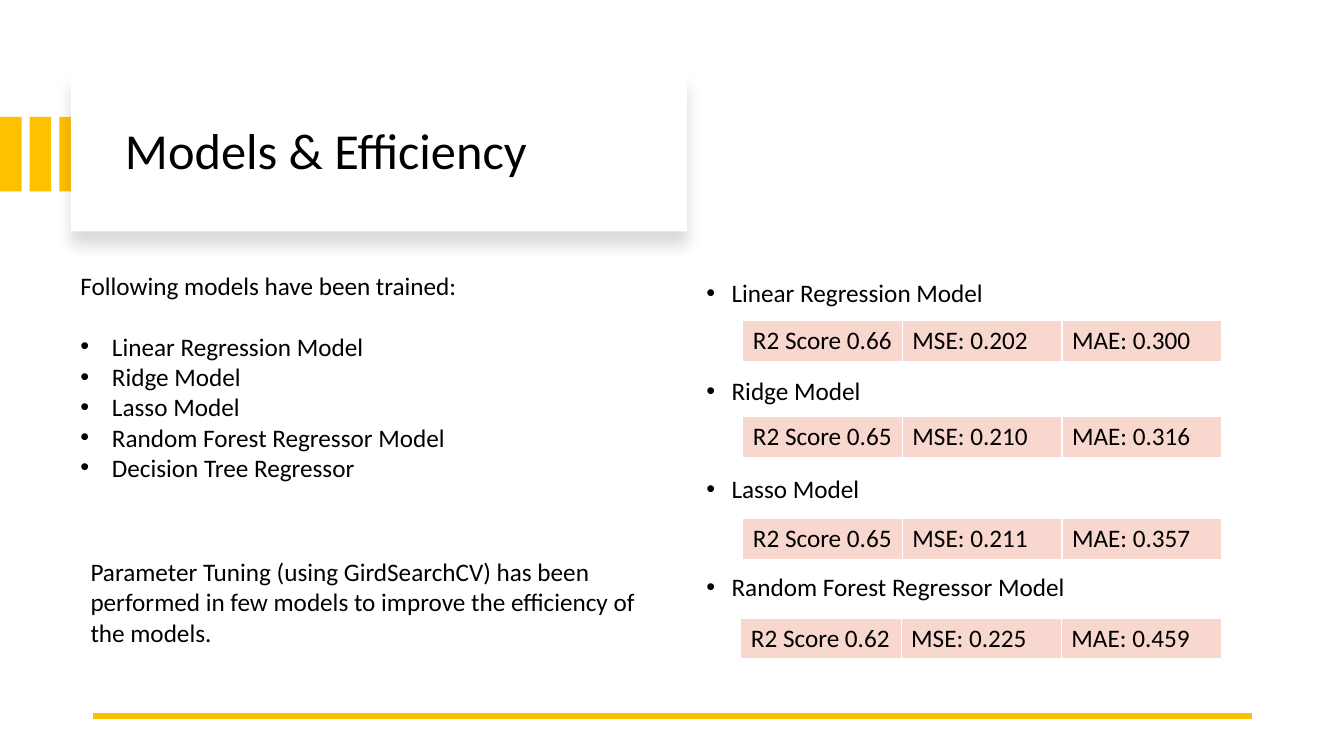
from pptx import Presentation
from pptx.dml.color import RGBColor
from pptx.enum.shapes import MSO_CONNECTOR, MSO_SHAPE
from pptx.enum.text import MSO_ANCHOR
from pptx.oxml import parse_xml
from pptx.oxml.ns import nsdecls
from pptx.util import Pt

COLORS = {"accent": "FFC000", "card": "FFFFFF", "cell": "F8D7CE", "text": "000000"}


class SlideBuilder:
    """Draws styled elements on one slide, with lengths in points."""

    def __init__(self, slide, font="Calibri", size=18):
        self.slide = slide
        self.font = font
        self.size = size

    def color(self, name):
        """Return a palette colour."""
        return RGBColor.from_string(COLORS[name])

    def rect(self, x, y, w, h, fill):
        """Add a plain rectangle."""
        sp = self.slide.shapes.add_shape(MSO_SHAPE.RECTANGLE, Pt(x), Pt(y), Pt(w), Pt(h))
        sp.shadow.inherit = False
        sp.fill.solid()
        sp.fill.fore_color.rgb = self.color(fill)
        sp.line.fill.background()
        return sp

    def card(self, x, y, w, h):
        """Add a white panel with a soft shadow below it."""
        sp = self.rect(x, y, w, h, "card")
        effects = sp._element.spPr.find("{*}effectLst")
        effects.append(parse_xml(
            f'<a:outerShdw {nsdecls("a")} blurRad="{Pt(11)}" dist="{Pt(10)}" dir="5400000" '
            'algn="t" rotWithShape="0"><a:srgbClr val="000000"><a:alpha val="15000"/>'
            '</a:srgbClr></a:outerShdw>'))

    def line(self, x1, y1, x2, y2, width):
        """Add a straight accent line."""
        cn = self.slide.shapes.add_connector(
            MSO_CONNECTOR.STRAIGHT, Pt(x1), Pt(y1), Pt(x2), Pt(y2))
        cn.line.color.rgb = self.color("accent")
        cn.line.width = Pt(width)
        cn._element.spPr.append(parse_xml(f'<a:effectLst {nsdecls("a")}/>'))

    def run(self, p, text, size=None):
        """Add a styled run to a paragraph."""
        r = p.add_run()
        r.text = text
        r.font.name = self.font
        r.font.size = Pt(size or self.size)
        r.font.color.rgb = self.color("text")

    def bullet(self, p, left, hang):
        """Give a paragraph a bullet with a hanging indent."""
        pPr = p._p.get_or_add_pPr()
        pPr.set("marL", str(Pt(left)))
        pPr.set("indent", str(Pt(-hang)))
        pPr.append(parse_xml(f'<a:buFont {nsdecls("a")} typeface="Arial"/>'))
        pPr.append(parse_xml(f'<a:buChar {nsdecls("a")} char="•"/>'))

    def text(self, x, y, w, h, lines, size=None, spacing=None, anchor=MSO_ANCHOR.TOP):
        """Add a text box of (text, space before, bullet indents) lines."""
        tf = self.slide.shapes.add_textbox(Pt(x), Pt(y), Pt(w), Pt(h)).text_frame
        tf.word_wrap = True
        tf.vertical_anchor = anchor
        for i, (text, before, indents) in enumerate(lines):
            p = tf.add_paragraph() if i else tf.paragraphs[0]
            p.space_before = Pt(before)
            if spacing:
                p.line_spacing = spacing
            if indents:
                self.bullet(p, *indents)
            self.run(p, text, size)

    def table(self, x, y, w, h, values):
        """Add a one-row table with white cell borders."""
        tb = self.slide.shapes.add_table(1, len(values), Pt(x), Pt(y), Pt(w), Pt(h)).table
        tb.first_row = tb.horz_banding = False
        for cell, value in zip(tb.rows[0].cells, values):
            cell.fill.solid()
            cell.fill.fore_color.rgb = self.color("cell")
            tcPr = cell._tc.get_or_add_tcPr()
            for i, side in enumerate("LRTB"):
                tcPr.insert(i, parse_xml(
                    f'<a:ln{side} {nsdecls("a")} w="{Pt(1)}"><a:solidFill>'
                    f'<a:srgbClr val="{COLORS["card"]}"/></a:solidFill></a:ln{side}>'))
            self.run(cell.text_frame.paragraphs[0], value)


def main():
    """Build the slide and save it."""
    prs = Presentation()
    prs.slide_width, prs.slide_height = Pt(960), Pt(540)
    s = SlideBuilder(prs.slides.add_slide(prs.slide_layouts[6]))

    for i in range(3):
        s.rect(i * 21.2, 83.5, 15.4, 53.3, "accent")
    s.card(50.7, 52, 440, 113.3)
    s.text(82.2, 69, 388, 81.5, [("Models & Efficiency", 0, None)],
           size=36, spacing=0.9, anchor=MSO_ANCHOR.MIDDLE)
    s.line(894, 511.2, 66.2, 511.2, 4.5)

    models = ["Linear Regression Model", "Ridge Model", "Lasso Model",
              "Random Forest Regressor Model"]
    s.text(461.5, 197.3, 407.5, 333.4,
           [(model, 50.4 if i else 0, (54, 18)) for i, model in enumerate(models)],
           spacing=0.9)

    right = 872.6
    scores = [(229, 342, "0.66", "0.202", "0.300"), (297.6, 342, "0.65", "0.210", "0.316"),
              (370.6, 342, "0.65", "0.211", "0.357"), (441.4, 343.4, "0.62", "0.225", "0.459")]
    for y, w, r2, mse, mae in scores:
        s.table(right - w, y, w, 29.2, [f"R2 Score {r2}", f"MSE: {mse}", f"MAE: {mae}"])

    trained = [(model, 0 if i else 22, (22.5, 22.5))
               for i, model in enumerate(models + ["Decision Tree Regressor"])]
    s.text(50.4, 189.4, 357, 160, [("Following models have been trained:", 0, None)] + trained)
    s.text(57.6, 394, 429, 72.7, [
        ("Parameter Tuning (using GirdSearchCV) has been performed in few models "
         "to improve the efficiency of the models.", 0, None)])

    prs.save("out.pptx")


if __name__ == "__main__":
    main()
